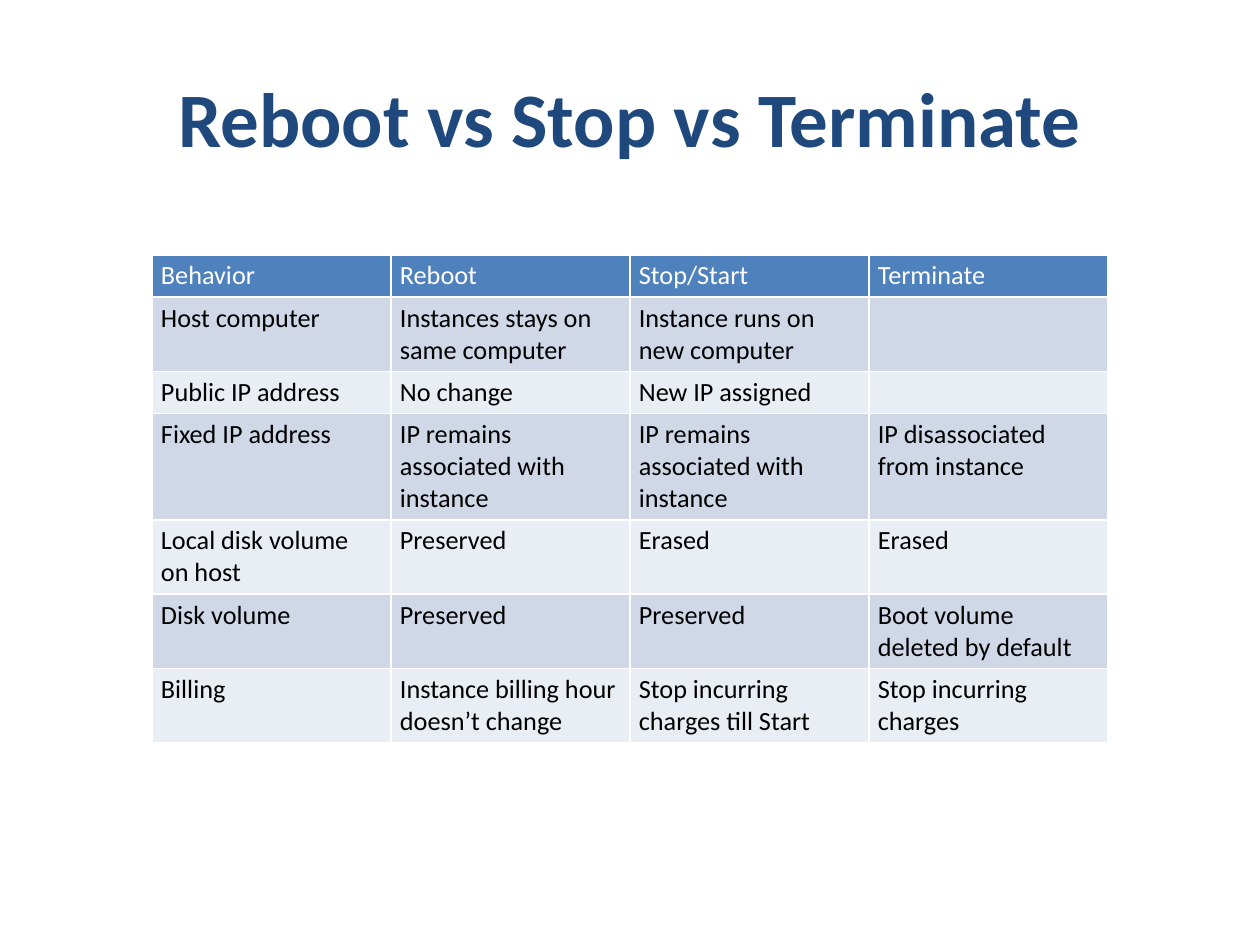
from lxml.etree import SubElement as Sub
from pptx import Presentation
from pptx.dml.color import RGBColor as Rgb
from pptx.enum.text import MSO_ANCHOR as Anchor, PP_ALIGN as Align
from pptx.oxml.ns import qn
from pptx.util import Emu, Pt

SCALE = 914400 // 126
FONT = "Calibri"
COLORS = {
    "title": "1F497D",
    "head": "4F81BD",
    "odd": "D0D8E8",
    "even": "E9EDF4",
    "white": "FFFFFF",
    "black": "000000",
}

# Each row: number of text lines, then its cells
ROWS = [
    (1, "Behavior", "Reboot", "Stop/Start", "Terminate"),
    (2, "Host computer", "Instances stays on same computer",
     "Instance runs on new computer", ""),
    (1, "Public IP address", "No change", "New IP assigned", ""),
    (3, "Fixed IP address", "IP remains associated with instance",
     "IP remains associated with instance", "IP disassociated from instance"),
    (2, "Local disk volume on host", "Preserved", "Erased", "Erased"),
    (2, "Disk volume", "Preserved", "Preserved", "Boot volume deleted by default"),
    (2, "Billing", "Instance billing hour doesn’t change",
     "Stop incurring charges till Start", "Stop incurring charges"),
]


def px(n):
    return Emu(n * SCALE)


def color(name):
    return Rgb.from_string(COLORS[name])


def add_run(para, text, size, tint, bold=False):
    run = para.add_run()
    run.text = text
    font = run.font
    font.name, font.size, font.bold = FONT, Pt(size), bold
    font.color.rgb = color(tint)


def set_edge(cell, side):
    props = cell._tc.get_or_add_tcPr()
    line = Sub(props, qn(f"a:ln{side}"), w=str(Pt(1)))
    fill = Sub(line, qn("a:solidFill"))
    Sub(fill, qn("a:srgbClr"), val=COLORS["white"])


def fill_cell(cell, text, tint, fill):
    cell.margin_left = cell.margin_right = px(9)
    cell.margin_top = cell.margin_bottom = px(5)
    for side in "LRTB":
        set_edge(cell, side)
    cell.fill.solid()
    cell.fill.fore_color.rgb = color(fill)
    para = cell.text_frame.paragraphs[0]
    if text:
        add_run(para, text, 15, tint)
    else:
        # Keeps an empty cell from stretching its row
        Sub(para._p, qn("a:endParaRPr"), sz="1500")


def add_title(slide, x, y, w, h):
    title = slide.shapes.title
    title.left, title.top, title.width, title.height = map(px, (x, y, w, h))
    frame = title.text_frame
    frame.vertical_anchor = Anchor.MIDDLE
    para = frame.paragraphs[0]
    para.alignment = Align.CENTER
    add_run(para, "Reboot vs Stop vs Terminate", 44, "title", bold=True)


def add_grid(slide, x, y, w):
    pad, step = 10, 31
    highs = [pad + step * row[0] for row in ROWS]
    cols = len(ROWS[0]) - 1
    table = slide.shapes.add_table(
        len(ROWS), cols, px(x), px(y), px(w), px(sum(highs))).table
    for col in table.columns:
        col.width = px(w // cols)
    for r, (_, *texts) in enumerate(ROWS):
        table.rows[r].height = px(highs[r])
        fill = "head" if r == 0 else "odd" if r % 2 else "even"
        tint = "black" if r else "white"
        for c, text in enumerate(texts):
            fill_cell(table.cell(r, c), text, tint, fill)


def main():
    deck = Presentation()
    deck.slide_width, deck.slide_height = px(1260), px(945)
    slide = deck.slides.add_slide(deck.slide_layouts[5])
    add_title(slide, 63, 38, 1134, 158)
    add_grid(slide, 152, 255, 956)
    deck.save("out.pptx")


if __name__ == "__main__":
    main()
